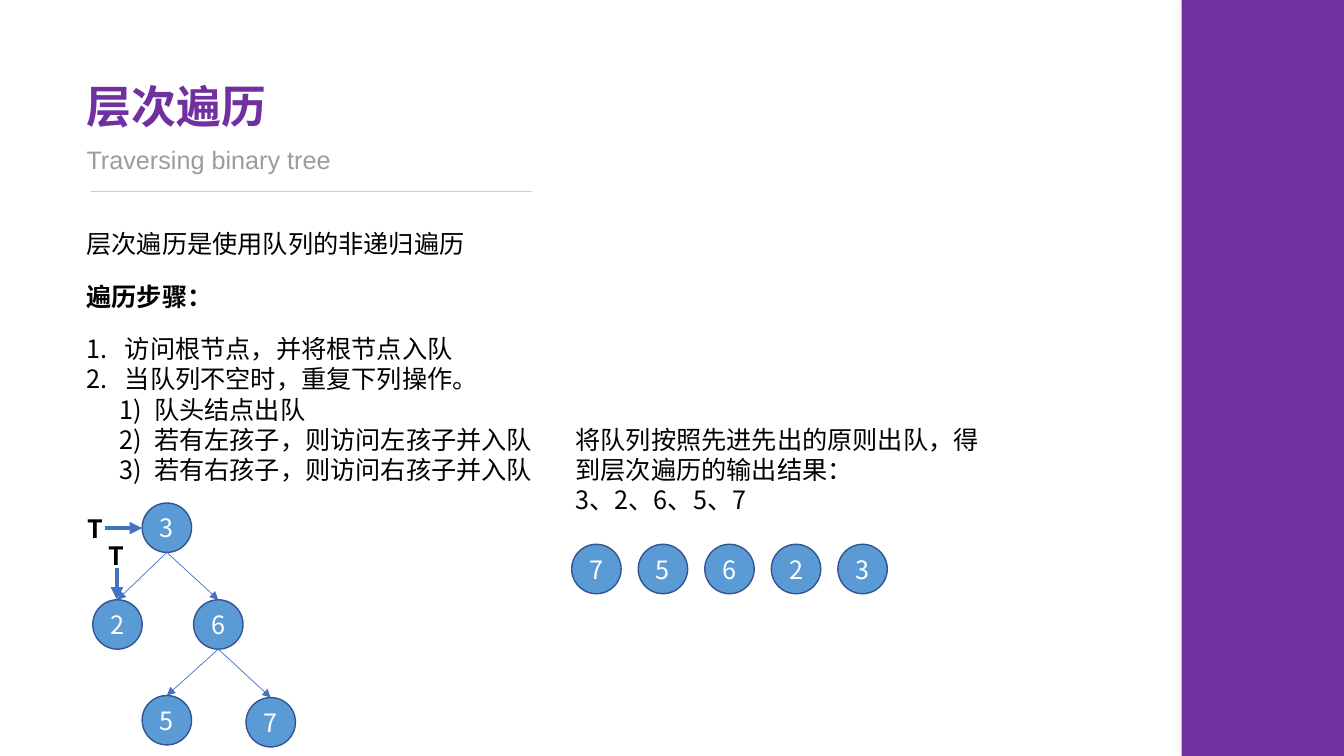
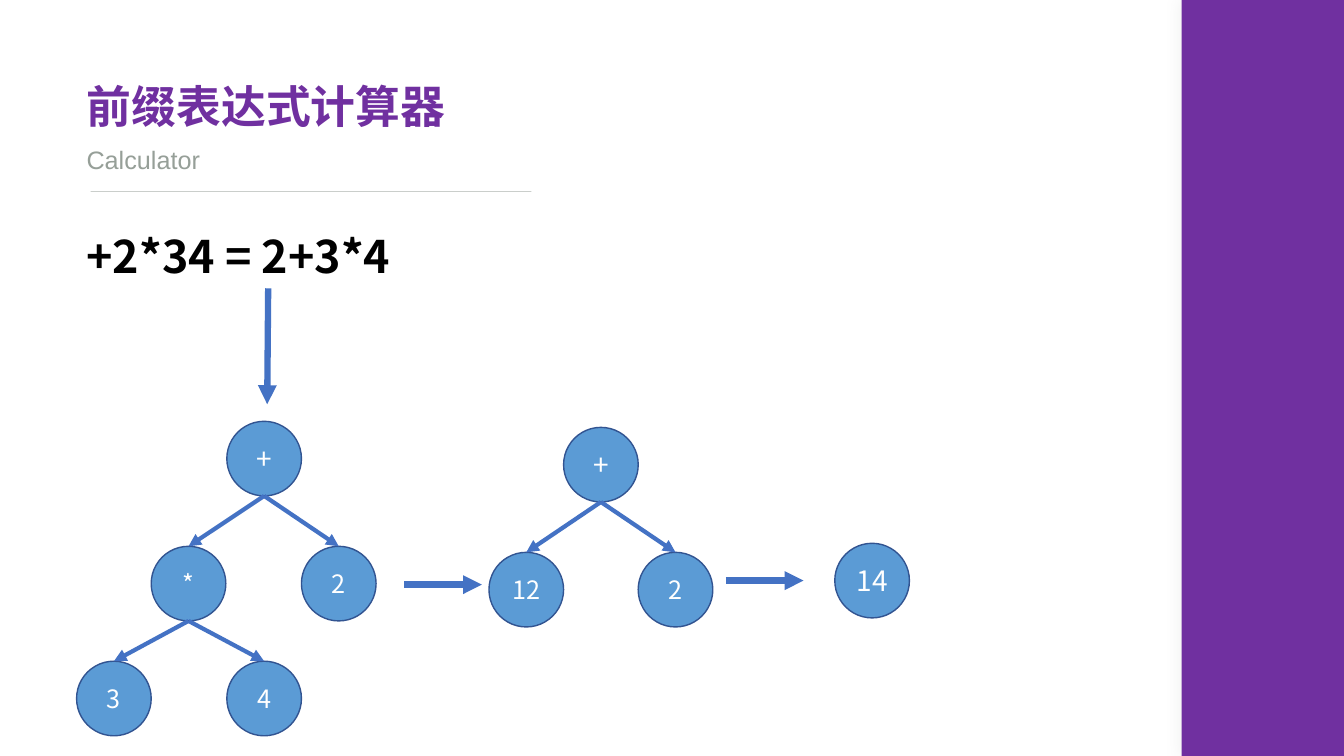
"""Build two slides on level-order traversal and a prefix calculator."""
from lxml.etree import SubElement
from pptx import Presentation
from pptx.dml.color import RGBColor
from pptx.enum.shapes import MSO_CONNECTOR as Link, MSO_SHAPE as Kind
from pptx.enum.text import MSO_ANCHOR as Anchor, MSO_AUTO_SIZE as Fit, PP_ALIGN as Align
from pptx.oxml.ns import qn
from pptx.util import Inches, Pt

HUES = {
    "band": "7030A0", "grey": "969F98", "shade": "D5D7D5", "ink": "000000",
    "white": "FFFFFF", "node": "5B9BD5", "edge": "325491", "arrow": "4472C4",
}
SANS, HAN = "Arial", "Noto Sans CJK SC"
LEFT = 0.76

INTRO = "层次遍历是使用队列的非递归遍历"
HEAD = "遍历步骤："
STEPS = [
    (0, "访问根节点，并将根节点入队"),
    (0, "当队列不空时，重复下列操作。"),
    (1, "队头结点出队"),
    (1, "若有左孩子，则访问左孩子并入队"),
    (1, "若有右孩子，则访问右孩子并入队"),
]
LEVELS = [("arabicPeriod", 0.38, 0.38), ("arabicParenR", 0.67, 0.34)]
RESULT = ["将队列按照先进先出的原则出队，得到层次遍历的输出结果：", "3、2、6、5、7"]
QUEUE = ["7", "5", "6", "2", "3"]
MARKS = [
    ((0.77, 5.04, 0.46), (1.04, 5.24), (1.41, 5.24)),
    ((0.98, 5.31, 0.34), (1.16, 5.64), (1.16, 5.95)),
]
WALK = {
    "nodes": {"3": (1.41, 4.99), "2": (0.92, 5.95), "6": (1.92, 5.95),
              "5": (1.41, 6.9), "7": (2.44, 6.92)},
    "edges": ["32", "36", "65", "67"],
    "size": 0.49, "width": 0.5,
}

FORMULA = "+2*34 = 2+3*4"
FULL = {
    "nodes": {"+": (2.25, 4.18), "*": (1.5, 5.42), "2": (2.99, 5.42),
              "3": (0.76, 6.56), "4": (2.25, 6.56)},
    "edges": ["+*", "+2", "*3", "*4"],
    "size": 0.74, "width": 3,
}
SHORT = {
    "nodes": {"+": (5.59, 4.24), "12": (4.85, 5.48), "2": (6.33, 5.48)},
    "edges": [("+", "12"), ("+", "2")],
    "size": 0.74, "width": 3,
}
FLOW = [((2.66, 2.86), (2.65, 4.01)), ((4.01, 5.8), (4.78, 5.8)), ((7.2, 5.76), (7.97, 5.76))]


def hue(name):
    return RGBColor.from_string(HUES[name])


def write(para, text, size=18, color="ink", bold=False, font=HAN):
    run = para.add_run()
    run.text = text
    run.font.size, run.font.bold, run.font.name = Pt(size), bold, font
    run.font.color.rgb = hue(color)
    SubElement(run.font._element, qn("a:ea"), typeface=HAN)


def place(slide, x, y, w, h):
    frame = slide.shapes.add_textbox(*map(Inches, (x, y, w, h))).text_frame
    frame.word_wrap = True
    return frame


def label(slide, text, x, y, w, h=0.4, **style):
    write(place(slide, x, y, w, h).paragraphs[0], text, **style)


def paras(frame, count):
    return [frame.paragraphs[0]] + [frame.add_paragraph() for _ in range(count - 1)]


def line(slide, start, end, width, color="arrow"):
    link = slide.shapes.add_connector(Link.STRAIGHT, *map(Inches, (*start, *end)))
    link.line.width = Pt(width)
    link.line.color.rgb = hue(color)
    SubElement(link._element.spPr, qn("a:effectLst"))
    return link


def arrow(slide, start, end, width):
    link = line(slide, start, end, width)
    SubElement(link.line._get_or_add_ln(), qn("a:tailEnd"), type="triangle")
    return link


def node(slide, text, x, y, side, size=18):
    ball = slide.shapes.add_shape(Kind.OVAL, *map(Inches, (x, y, side, side)))
    ball.shadow.inherit = False
    ball.fill.solid()
    ball.fill.fore_color.rgb = hue("node")
    ball.line.color.rgb = hue("edge")
    ball.line.width = Pt(1)
    frame = ball.text_frame
    frame.word_wrap = False
    frame.vertical_anchor = Anchor.MIDDLE
    frame.margin_left = frame.margin_right = 0
    para = frame.paragraphs[0]
    para.alignment = Align.CENTER
    write(para, text, size, "white")
    return ball


def tree(slide, data):
    spots, side = data["nodes"], data["size"]
    balls = {
        text: node(slide, text, x, y, side, 20 if text == "+" else 18)
        for text, (x, y) in spots.items()
    }
    for top, low in data["edges"]:
        (x, y), (u, v) = spots[top], spots[low]
        half = side / 2
        link = arrow(slide, (x + half, y + side), (u + half, v), data["width"])
        link.end_connect(balls[low], 0)


def start(deck, title, note):
    slide = deck.slides.add_slide(deck.slide_layouts[5])
    band = slide.shapes.add_shape(Kind.RECTANGLE, *map(Inches, (11.72, 0, 1.61, 7.5)))
    band.shadow.inherit = False
    band.fill.solid()
    band.fill.fore_color.rgb = hue("band")
    band.line.fill.background()
    glow = SubElement(band._element.spPr.find(qn("a:effectLst")), qn("a:outerShdw"),
                      blurRad=str(Pt(10)), dist="0", dir="0", algn="ctr", rotWithShape="0")
    tint = SubElement(glow, qn("a:srgbClr"), val=HUES["shade"])
    SubElement(tint, qn("a:alpha"), val="40000")

    head = slide.shapes.title
    head.left, head.top, head.width, head.height = map(Inches, (LEFT, 0.73, 3.79, 0.64))
    frame = head.text_frame
    frame.word_wrap = False
    frame.auto_size = Fit.NONE
    frame.vertical_anchor = Anchor.TOP
    para = frame.paragraphs[0]
    para.alignment = Align.LEFT
    write(para, title, 32, "band", True, SANS)

    rule = line(slide, (5.27, 1.9), (0.9, 1.9), 0.5, "grey")
    tint = rule.line._get_or_add_ln().find(".//" + qn("a:srgbClr"))
    SubElement(tint, qn("a:alpha"), val="50000")
    label(slide, note, LEFT, 1.38, 2.75, color="grey", font=SANS)
    return slide


def levels(deck):
    slide = start(deck, "层次遍历", "Traversing binary tree")
    label(slide, INTRO, LEFT, 2.22, 4.27)
    label(slide, HEAD, LEFT, 2.74, 2.01, bold=True)
    frame = place(slide, LEFT, 3.26, 4.68, 1.62)
    for para, (level, text) in zip(paras(frame, len(STEPS)), STEPS):
        kind, left, hang = LEVELS[level]
        para.level = level
        props = para._p.get_or_add_pPr()
        props.set("marL", str(Inches(left)))
        props.set("indent", str(-Inches(hang)))
        SubElement(props, qn("a:buFont"), typeface=HAN)
        SubElement(props, qn("a:buAutoNum"), type=kind)
        write(para, text)
    tree(slide, WALK)
    for spot, tail, tip in MARKS:
        arrow(slide, tail, tip, 3)
        label(slide, "T", *spot, bold=True)
    for i, text in enumerate(QUEUE):
        node(slide, text, 5.67 + 0.66 * i, 5.4, WALK["size"])
    frame = place(slide, 5.61, 4.16, 4.27, 1.01)
    for para, text in zip(paras(frame, len(RESULT)), RESULT):
        write(para, text)


def prefix(deck):
    slide = start(deck, "前缀表达式计算器", "Calculator")
    label(slide, FORMULA, LEFT, 2.22, 3.79, 0.64, size=32, bold=True)
    for data in (FULL, SHORT):
        tree(slide, data)
    for tail, tip in FLOW:
        arrow(slide, tail, tip, 4.5)
    node(slide, "14", 8.28, 5.39, FULL["size"], 20)


def main():
    deck = Presentation()
    deck.slide_width, deck.slide_height = Inches(13.33), Inches(7.5)
    levels(deck)
    prefix(deck)
    deck.save("out.pptx")


if __name__ == "__main__":
    main()
